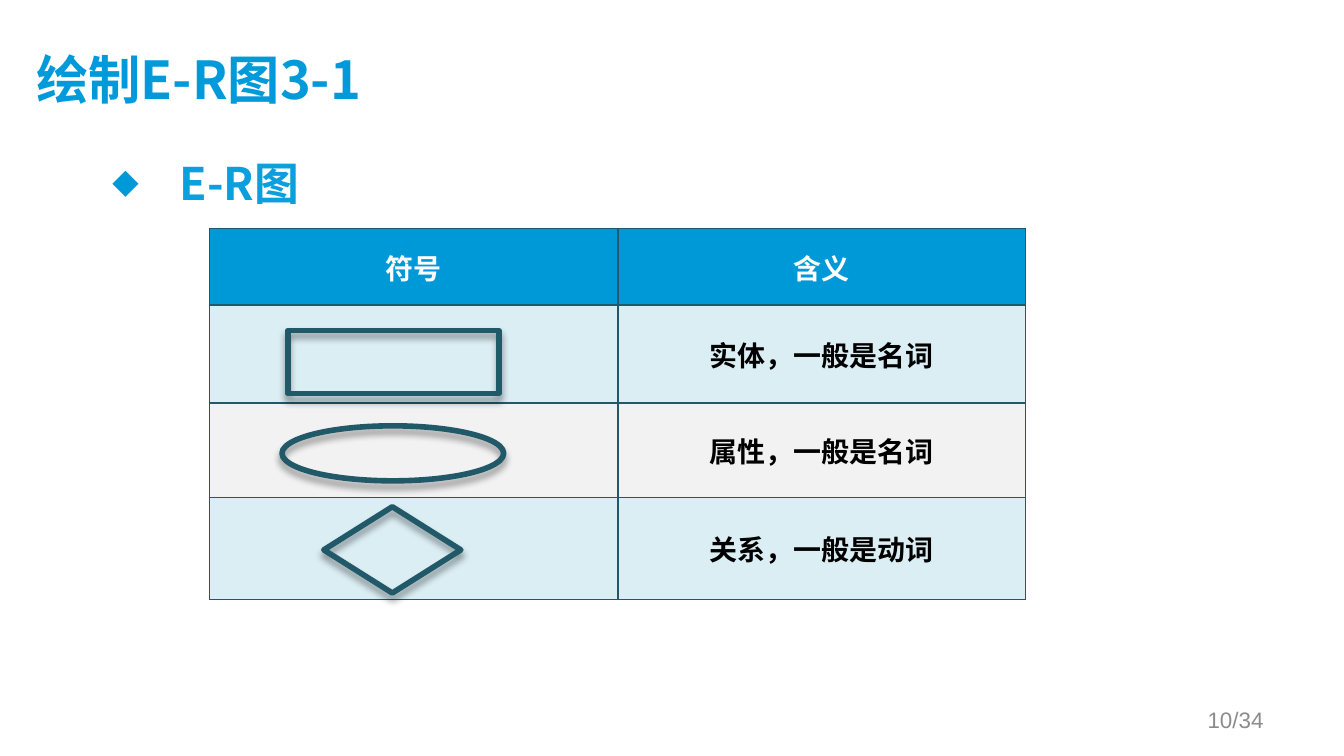
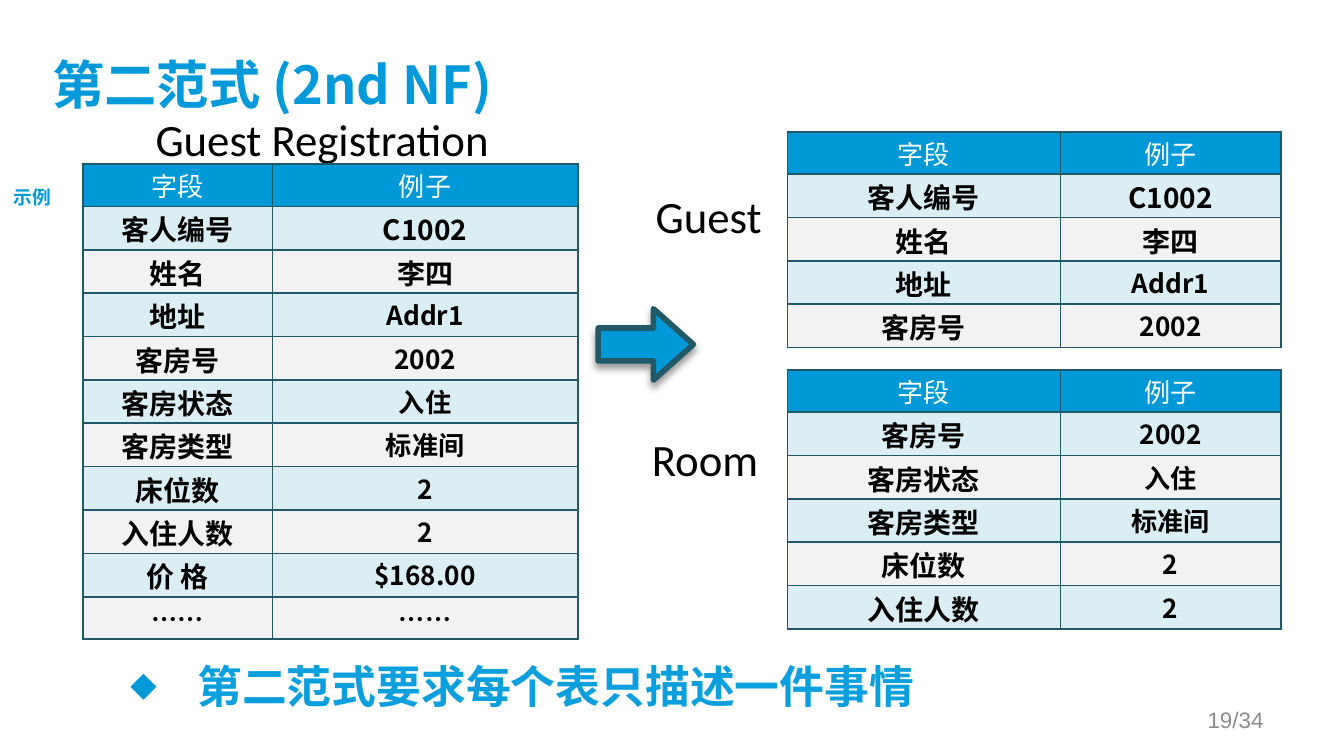
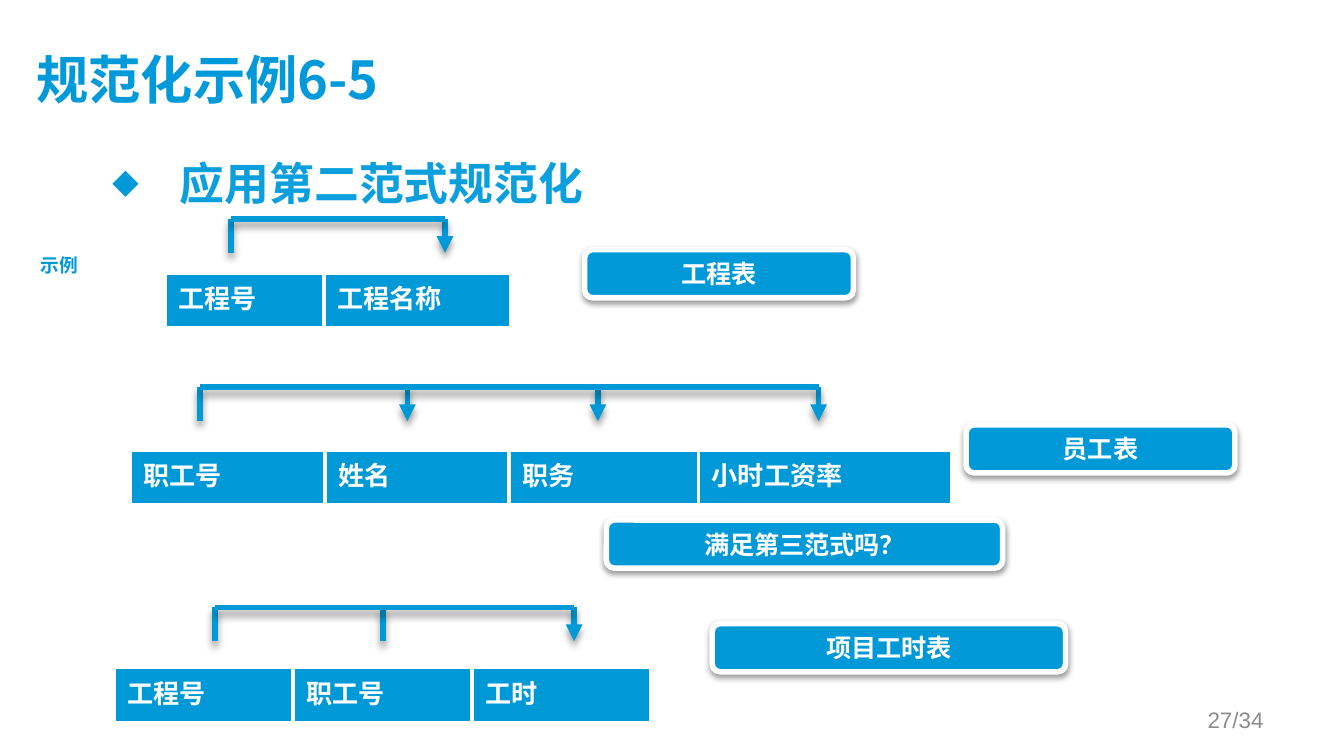
from dataclasses import dataclass

from lxml import etree
from pptx import Presentation
from pptx import slide as s
from pptx import util as u
from pptx.dml import color as c
from pptx.enum import shapes, text
from pptx.oxml import ns

COLORS = {
    "title": "0099D9",
    "brand": "0099D8",
    "bullet_text": "0B9FDD",
    "outline": "215968",
    "band": "DBEEF4",
    "band_alt": "F2F2F2",
    "white": "FFFFFF",
    "black": "000000",
    "page_number": "8C8C8C",
}
CJK = "Noto Sans CJK SC"
LATIN = "Calibri"
PLAIN = "Arial"
PAGE_COUNT = 34
STEM_HEIGHT = 0.64
BADGE_HEIGHT = 0.91
INSET = (0.25, 0.13, 0.25, 0.13)
LARGE_VALUES = ("C1002", "李四")
ELLIPSIS = "……"


@dataclass(frozen=True)
class Frame:
    left: float
    top: float
    width: float
    height: float

    def lengths(self) -> tuple:
        return tuple(u.Cm(v) for v in (self.left, self.top, self.width, self.height))


@dataclass(frozen=True)
class Style:
    size: float
    color: str
    font: str = CJK
    bold: bool = True
    align: text.PP_ALIGN = text.PP_ALIGN.LEFT


@dataclass(frozen=True)
class Symbol:
    kind: shapes.MSO_SHAPE
    frame: Frame


@dataclass(frozen=True)
class Badge:
    wording: str
    left: float
    top: float
    width: float


@dataclass(frozen=True)
class Bracket:
    top: float
    stems: tuple[float, ...]
    first_arrow: int


@dataclass(frozen=True)
class FieldTable:
    left: float
    top: float
    widths: tuple[float, ...]
    rows: tuple[tuple[str, str], ...]


@dataclass(frozen=True)
class HeadingRow:
    left: float
    top: float
    widths: tuple[float, ...]
    names: tuple[str, ...]


CENTER = text.PP_ALIGN.CENTER
TITLE = Style(28, "title")
BULLET = Style(24, "bullet_text")
LABEL = Style(24, "black", LATIN, False)
TAG = Style(10, "brand", PLAIN, True, CENTER)
NUMBER = Style(12, "page_number", PLAIN, False, text.PP_ALIGN.RIGHT)
BADGE = Style(13.5, "white", LATIN, True, CENTER)
BODY_FRAME = Frame(1.88, 2.82, 21.56, 9.42)

SYMBOLS = (
    Symbol(shapes.MSO_SHAPE.RECTANGLE, Frame(5.44, 6.25, 3.99, 1.19)),
    Symbol(shapes.MSO_SHAPE.OVAL, Frame(5.33, 8.05, 4.19, 1.04)),
    Symbol(shapes.MSO_SHAPE.DIAMOND, Frame(6.12, 9.58, 2.59, 1.63)),
)
GUEST_ROWS = (
    ("客人编号", "C1002"),
    ("姓名", "李四"),
    ("地址", "Addr1"),
    ("客房号", "2002"),
)
ROOM_ROWS = (
    ("客房号", "2002"),
    ("客房状态", "入住"),
    ("客房类型", "标准间"),
    ("床位数", "2"),
    ("入住人数", "2"),
)
REGISTRATION_ROWS = GUEST_ROWS + ROOM_ROWS[1:] + (("价 格", "$168.00"), (ELLIPSIS, ELLIPSIS))
FIELD_TABLES = (
    FieldTable(1.57, 3.1, (3.58, 5.77), REGISTRATION_ROWS),
    FieldTable(14.88, 2.49, (5.16, 4.17), GUEST_ROWS),
    FieldTable(14.88, 6.99, (5.16, 4.17), ROOM_ROWS),
)
BRACKETS = (
    Bracket(4.14, (4.37, 8.41), 1),
    Bracket(7.32, (3.78, 7.7, 11.3, 15.47), 1),
    Bracket(11.48, (4.06, 7.24, 10.85), 2),
)
BADGES = (
    Badge("工程表", 11.05, 4.72, 5.08),
    Badge("员工表", 18.26, 8.03, 5.08),
    Badge("项目工时表", 13.46, 11.79, 6.68),
    Badge("满足第三范式吗？", 11.46, 9.83, 7.49),
)
HEADING_ROWS = (
    HeadingRow(3.12, 5.16, (3.0, 3.53), ("工程号", "工程名称")),
    HeadingRow(2.46, 8.51, (3.68, 3.48, 3.58, 4.78), ("职工号", "姓名", "职务", "小时工资率")),
    HeadingRow(2.16, 12.62, (3.38,) * 3, ("工程号", "职工号", "工时")),
)


def rgb(name: str) -> c.RGBColor:
    return c.RGBColor.from_string(COLORS[name])


def add_node(parent, tag: str, **attributes):
    values = {key: str(value) for key, value in attributes.items()}
    return etree.SubElement(parent, ns.qn(tag), values)


def write(frame, wording: str, style: Style) -> None:
    frame.text = wording
    para = frame.paragraphs[0]
    para.alignment = style.align
    for span in para.runs:
        span.font.name = style.font
        span.font.size = u.Pt(style.size)
        span.font.bold = style.bold
        span.font.color.rgb = rgb(style.color)
        add_node(span._r.get_or_add_rPr(), "a:ea", typeface=CJK)


def set_margins(target, margins: tuple) -> None:
    (target.margin_left, target.margin_top,
     target.margin_right, target.margin_bottom) = (u.Cm(v) for v in margins)


def add_text(page: s.Slide, wording: str, frame: Frame, style: Style,
             anchor=text.MSO_ANCHOR.TOP, margins: tuple = INSET, wrap: bool = True):
    box = page.shapes.add_textbox(*frame.lengths())
    body = box.text_frame
    body.word_wrap = wrap
    body.vertical_anchor = anchor
    set_margins(body, margins)
    write(body, wording, style)
    return box


def add_bullet(page: s.Slide, wording: str, frame: Frame) -> None:
    box = add_text(page, wording, frame, BULLET)
    props = box.text_frame.paragraphs[0]._p.get_or_add_pPr()
    indent = u.Cm(1.27)
    props.set("marL", str(indent))
    props.set("indent", str(-indent))
    add_node(add_node(props, "a:buClr"), "a:srgbClr", val=COLORS["brand"])
    add_node(props, "a:buSzPct", val=60000)
    add_node(props, "a:buFont", typeface=CJK)
    add_node(props, "a:buChar", char="◆")


def add_tag(page: s.Slide, left: float, top: float) -> None:
    add_text(page, "示例", Frame(left, top, 1.22, 0.69), TAG, wrap=False)


def add_shadow(props, opacity: int = 40, blur: float = 4, distance: float = 3) -> None:
    effects = props.find(ns.qn("a:effectLst"))
    if effects is None:
        effects = add_node(props, "a:effectLst")
    shadow = add_node(effects, "a:outerShdw", blurRad=u.Pt(blur), dist=u.Pt(distance),
                      dir=5400000, algn="ctr", rotWithShape=0)
    tint = add_node(shadow, "a:srgbClr", val=COLORS["black"])
    add_node(tint, "a:alpha", val=opacity * 1000)


def add_figure(page: s.Slide, kind, frame: Frame, line: str, fill: str = ""):
    figure = page.shapes.add_shape(kind, *frame.lengths())
    figure.shadow.inherit = False
    if fill:
        figure.fill.solid()
        figure.fill.fore_color.rgb = rgb(fill)
    else:
        figure.fill.background()
    figure.line.color.rgb = rgb(line)
    figure.line.width = u.Pt(3)
    return figure


def add_line(page: s.Slide, start: tuple, end: tuple, arrow: bool = False) -> None:
    line = page.shapes.add_connector(
        shapes.MSO_CONNECTOR.STRAIGHT, *(u.Cm(v) for v in start + end))
    line.line.color.rgb = rgb("brand")
    line.line.width = u.Pt(3)
    props = line._element.spPr
    if arrow:
        add_node(props.find(ns.qn("a:ln")), "a:tailEnd", type="triangle")
    add_shadow(props)


def add_bracket(page: s.Slide, bracket: Bracket) -> None:
    bottom = round(bracket.top + STEM_HEIGHT, 2)
    for index, left in enumerate(bracket.stems):
        add_line(page, (left, bracket.top), (left, bottom), index >= bracket.first_arrow)
    add_line(page, (bracket.stems[0], bracket.top), (bracket.stems[-1], bracket.top))


def add_badge(page: s.Slide, badge: Badge) -> None:
    frame = Frame(badge.left, badge.top, badge.width, BADGE_HEIGHT)
    figure = add_figure(page, shapes.MSO_SHAPE.ROUNDED_RECTANGLE, frame, "white", "brand")
    add_shadow(figure._element.spPr, 38, 3.1, 1.6)
    figure.text_frame.vertical_anchor = text.MSO_ANCHOR.MIDDLE
    write(figure.text_frame, badge.wording, BADGE)


def add_grid(page: s.Slide, left: float, top: float, widths: tuple, heights: tuple):
    frame = Frame(left, top, sum(widths), sum(heights))
    holder = page.shapes.add_table(len(heights), len(widths), *frame.lengths())
    grid = holder.table
    grid.horz_banding = False
    for column, width in zip(grid.columns, widths):
        column.width = u.Cm(width)
    for row, height in zip(grid.rows, heights):
        row.height = u.Cm(height)
    return grid


def fill_cell(cell, wording: str, style: Style, fill: str, border: str,
              weight: float, anchor, margins: tuple) -> None:
    props = cell._tc.get_or_add_tcPr()
    for side in ("a:lnL", "a:lnR", "a:lnT", "a:lnB"):
        edge = add_node(props, side, w=u.Pt(weight))
        add_node(add_node(edge, "a:solidFill"), "a:srgbClr", val=COLORS[border])
    cell.fill.solid()
    cell.fill.fore_color.rgb = rgb(fill)
    cell.vertical_anchor = anchor
    set_margins(cell, margins)
    write(cell.text_frame, wording, style)


def row_fill(index: int) -> str:
    if index == 0:
        return "brand"
    return "band" if index % 2 else "band_alt"


def field_style(row: int, column: int, wording: str) -> Style:
    if row == 0:
        return Style(14, "white", bold=False, align=CENTER)
    large = wording in LARGE_VALUES or (column == 0 and wording != ELLIPSIS)
    return Style(15 if large else 14, "black", align=CENTER)


def add_field_table(page: s.Slide, fields: FieldTable) -> None:
    rows = (("字段", "例子"),) + fields.rows
    heights = tuple(0.8 if row[0] in ("字段", ELLIPSIS) else 0.82 for row in rows)
    grid = add_grid(page, fields.left, fields.top, fields.widths, heights)
    for r, row in enumerate(rows):
        for k, wording in enumerate(row):
            fill_cell(grid.cell(r, k), wording, field_style(r, k, wording), row_fill(r),
                      "outline", 1, text.MSO_ANCHOR.TOP, (0.25, 0.04, 0.25, 0))


def add_symbol_table(page: s.Slide) -> None:
    rows = (("符号", "含义"), ("", "实体，一般是名词"),
            ("", "属性，一般是名词"), ("", "关系，一般是动词"))
    grid = add_grid(page, 3.96, 4.32, (7.72, 7.7), (1.45, 1.85, 1.78, 1.93))
    for r, row in enumerate(rows):
        style = Style(15, "black" if r else "white", align=CENTER)
        for k, wording in enumerate(row):
            fill_cell(grid.cell(r, k), wording, style, row_fill(r),
                      "outline", 1, text.MSO_ANCHOR.MIDDLE, (0.3, 0.1, 0.3, 0.1))


def add_heading_row(page: s.Slide, heading: HeadingRow) -> None:
    grid = add_grid(page, heading.left, heading.top, heading.widths, (1.04,))
    for k, name in enumerate(heading.names):
        fill_cell(grid.cell(0, k), name, Style(14, "white"), "brand",
                  "white", 2.25, text.MSO_ANCHOR.TOP, (0.25, 0.1, 0.25, 0.1))


def add_page(deck, title: str, number: int, left: float = 0.69, top: float = 0.58) -> s.Slide:
    page = deck.slides.add_slide(deck.slide_layouts[6])
    middle = text.MSO_ANCHOR.MIDDLE
    add_text(page, title, Frame(left, top, 22.73, 1.96), TITLE, middle, (0, 0, 0.25, 0.13))
    add_text(page, f"{number}/{PAGE_COUNT}", Frame(18.21, 13.23, 5.92, 0.76), NUMBER, middle)
    return page


def build_symbols(deck) -> None:
    page = add_page(deck, "绘制E-R图3-1", 10)
    add_bullet(page, "E-R图", BODY_FRAME)
    add_symbol_table(page)
    for symbol in SYMBOLS:
        figure = add_figure(page, symbol.kind, symbol.frame, "outline")
        add_shadow(figure._element.spPr)


def build_second_form(deck) -> None:
    page = add_page(deck, "第二范式 (2nd NF)", 19, 0.99, 0.66)
    add_text(page, "Guest Registration", Frame(2.69, 1.98, 8.41, 1.27), LABEL)
    add_text(page, "Guest", Frame(12.14, 3.43, 5.36, 1.27), LABEL)
    add_text(page, "Room", Frame(12.07, 8.03, 5.23, 1.27), LABEL)
    arrow = add_figure(page, shapes.MSO_SHAPE.DOWN_ARROW,
                       Frame(11.53, 5.61, 1.35, 1.8), "outline", "brand")
    arrow.rotation = 270
    arrow.adjustments[0] = 0.46
    arrow.adjustments[1] = 0.56
    add_shadow(arrow._element.spPr)
    for fields in FIELD_TABLES:
        add_field_table(page, fields)
    add_bullet(page, "第二范式要求每个表只描述一件事情", Frame(2.21, 12.32, 21.23, 1.35))
    add_tag(page, 0, 3.38)


def build_normalization(deck) -> None:
    page = add_page(deck, "规范化示例6-5", 27)
    add_bullet(page, "应用第二范式规范化", BODY_FRAME)
    for bracket in BRACKETS:
        add_bracket(page, bracket)
    for badge in BADGES:
        add_badge(page, badge)
    for heading in HEADING_ROWS:
        add_heading_row(page, heading)
    add_tag(page, 0.51, 4.67)


def main() -> None:
    deck = Presentation()
    deck.slide_width = u.Cm(25.4)
    deck.slide_height = u.Cm(14.29)
    build_symbols(deck)
    build_second_form(deck)
    build_normalization(deck)
    deck.save("out.pptx")


if __name__ == "__main__":
    main()
